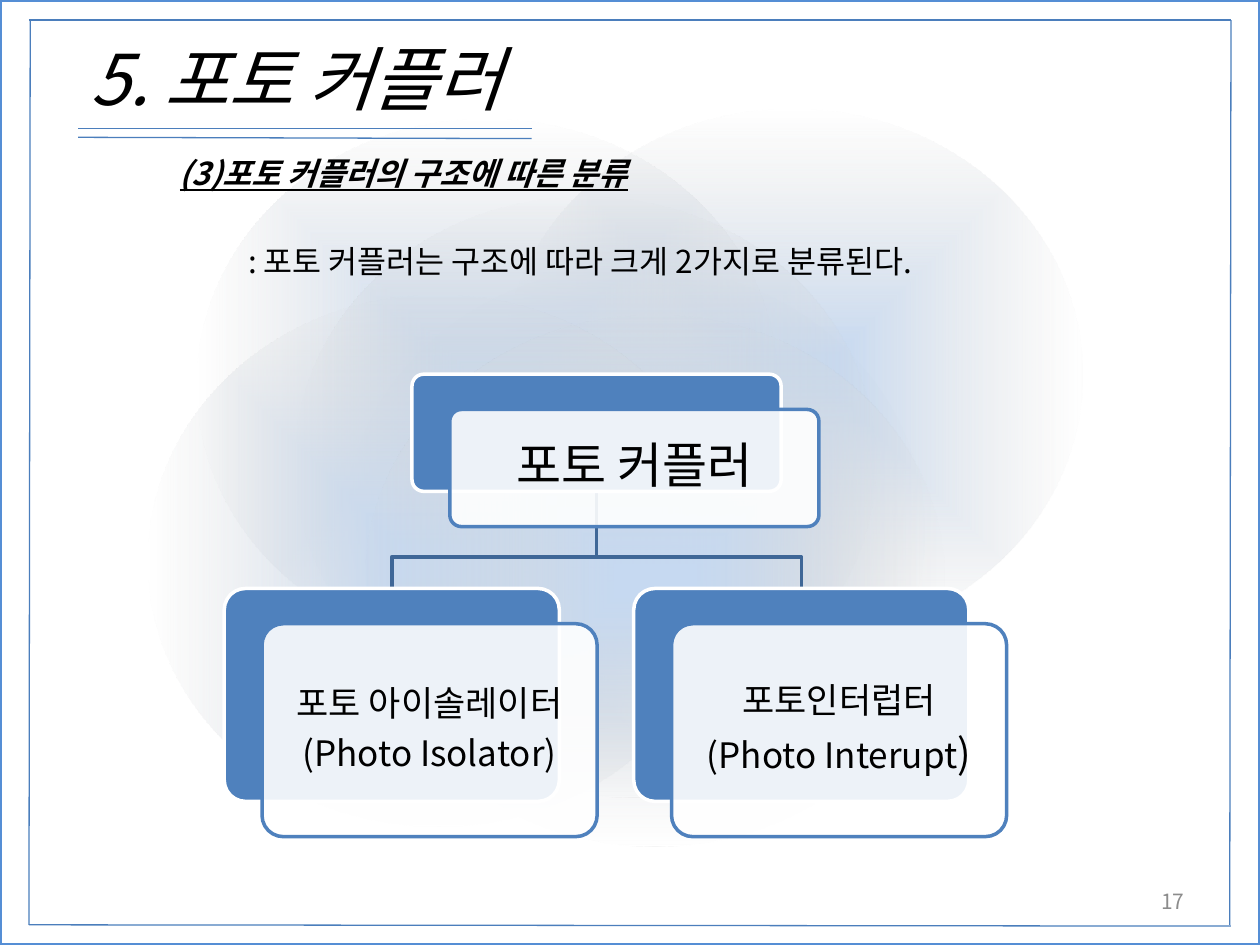
from dataclasses import dataclass
from typing import NamedTuple

from lxml import etree
from pptx import Presentation, util as u
from pptx.dml.color import RGBColor
from pptx.enum import shapes as sh, text as tx
from pptx.oxml import parse_xml
from pptx.oxml.ns import nsdecls, qn

# The slide is a grid of 100 columns by 75 rows.
COLS, ROWS = 100, 75
WIDE, HIGH = u.Inches(10), u.Inches(7.5)


@dataclass(frozen=True)
class Theme:
    font: str = "Noto Sans CJK KR"
    ink: str = "000000"
    paper: str = "FFFFFF"
    edge: str = "558ED5"
    rule: str = "4B7EBC"
    plate: str = "4F81BD"
    link: str = "3F6797"
    gray: str = "8C8C8C"
    title: float = 40
    root: float = 28
    leaf: float = 20
    tail: float = 23
    body: float = 18
    note: float = 12
    thin: float = 0.75
    bold: float = 2


class Box(NamedTuple):
    col: float
    row: float
    cols: float
    rows: float


class Label(NamedTuple):
    box: Box
    text: str
    size: float
    color: str
    bold: bool = False
    italic: bool = False
    under: bool = False
    grow: bool = True


class Card(NamedTuple):
    box: Box
    lines: tuple[str, ...]
    size: float
    inset: float
    tail: str = ""


T = Theme()
BLOB = 46.1, 42.2
BLOBS = ((27.3, 21.1), (39.8, 8.6), (15.6, 9.4),
         (23.4, 15.6), (11.7, 23.4), (28.9, 25))
RULES = ((6.2, 10.2, 42.2, 10.2), (6.2, 10.9, 42.2, 11),
         (2.3, 1.6, 97.7, 1.6), (2.4, 1.6, 2.3, 73.4),
         (2.3, 73.4, 97.7, 73.5), (97.7, 1.6, 97.6, 73.4))
LABELS = (
    Label(Box(6.2, 2.3, 45.3, 7.7), "5. 포토 커플러", T.title, T.ink, italic=True),
    Label(Box(13.3, 11.7, 57, 4), "(3)포토 커플러의 구조에 따른 분류", T.body, T.ink,
          bold=True, italic=True, under=True),
    Label(Box(18.7, 18.7, 60.2, 4), ": 포토 커플러는 구조에 따라 크게 2가지로 분류된다.",
          T.body, T.ink),
    Label(Box(71.7, 69.5, 23.3, 4), "17", T.note, T.gray, grow=False),
)
ROOT = Card(Box(32.7, 29.7, 29.3, 9.3), ("포토 커플러",), T.root, 0.12)
LEAVES = (
    Card(Box(17.8, 46.7, 26.6, 16.9), ("포토 아이솔레이터", "(Photo Isolator)"), T.leaf, 0.05),
    Card(Box(50.3, 46.7, 26.6, 16.9), ("포토인터럽터", "(Photo Interupt"), T.leaf, 0.08, ")"),
)
SHIFT = 3, 2.8
BEND = 44.2

GRAD = f"""<a:gradFill rotWithShape="1" {nsdecls('a')}><a:gsLst>
<a:gs pos="6000"><a:srgbClr val="C6D9F1"/></a:gs>
<a:gs pos="100000"><a:srgbClr val="D9D9D9"><a:alpha val="0"/></a:srgbClr></a:gs>
<a:gs pos="100000"><a:srgbClr val="979797"/></a:gs></a:gsLst>
<a:path path="shape"><a:fillToRect l="50000" t="50000" r="50000" b="50000"/></a:path>
</a:gradFill>"""


def x(col: float) -> int:
    return round(WIDE * col / COLS)


def y(row: float) -> int:
    return round(HIGH * row / ROWS)


def place(box: Box) -> tuple[int, int, int, int]:
    return x(box.col), y(box.row), x(box.cols), y(box.rows)


def rgb(color: str) -> RGBColor:
    return RGBColor.from_string(color)


def stroke(line, color: str, width: float) -> None:
    line.color.rgb = rgb(color)
    line.width = u.Pt(width)


def style(run, size: float, color: str) -> None:
    run.font.size = u.Pt(size)
    run.font.color.rgb = rgb(color)
    run.font.name = T.font
    etree.SubElement(run.font._element, qn("a:ea"), typeface=T.font)


def plate(page, kind, box: Box, fill: str, line: str):
    shape = page.shapes.add_shape(kind, *place(box))
    shape.shadow.inherit = False
    shape.fill.solid()
    shape.fill.fore_color.rgb = rgb(fill)
    stroke(shape.line, line, T.bold)
    return shape


def blob(page, col: float, row: float) -> None:
    """Draw an oval that fades from its centre to clear."""
    shape = page.shapes.add_shape(sh.MSO_SHAPE.OVAL, *place(Box(col, row, *BLOB)))
    shape.shadow.inherit = False
    shape.line.fill.background()
    shape._element.spPr.find(qn("a:prstGeom")).addnext(parse_xml(GRAD))


def rule(page, ends: tuple[float, ...]) -> None:
    c1, r1, c2, r2 = ends
    line = page.shapes.add_connector(sh.MSO_CONNECTOR.STRAIGHT, x(c1), y(r1), x(c2), y(r2))
    stroke(line.line, T.rule, T.thin)
    etree.SubElement(line._element.spPr, qn("a:effectLst"))


def label(page, item: Label) -> None:
    frame = page.shapes.add_textbox(*place(item.box)).text_frame
    frame.word_wrap = True
    frame.text = item.text
    if item.grow:
        frame.auto_size = tx.MSO_AUTO_SIZE.SHAPE_TO_FIT_TEXT
    else:
        frame.vertical_anchor = tx.MSO_ANCHOR.MIDDLE
        frame.paragraphs[0].alignment = tx.PP_ALIGN.RIGHT
    run = frame.paragraphs[0].runs[0]
    style(run, item.size, item.color)
    run.font.bold, run.font.italic, run.font.underline = item.bold, item.italic, item.under


def card(page, item: Card) -> None:
    """Draw a solid plate with a clear, captioned plate shifted over it."""
    kind = sh.MSO_SHAPE.ROUNDED_RECTANGLE
    box = item.box
    over = box._replace(col=box.col + SHIFT[0], row=box.row + SHIFT[1])
    back = plate(page, kind, box, T.plate, T.paper)
    front = plate(page, kind, over, T.paper, T.plate)
    back.adjustments[0] = front.adjustments[0] = 0.1
    tint = front._element.spPr.find(qn("a:solidFill"))[0]
    etree.SubElement(tint, qn("a:alpha"), val="90000")

    frame = front.text_frame
    frame.word_wrap = True
    frame.vertical_anchor = tx.MSO_ANCHOR.MIDDLE
    frame.margin_left = frame.margin_right = u.Inches(item.inset)
    frame.margin_top = frame.margin_bottom = u.Inches(item.inset)
    frame.text = "\n".join(item.lines)
    for para in frame.paragraphs:
        para.alignment = tx.PP_ALIGN.CENTER
        para.line_spacing = 0.9
        para.space_after = u.Pt(item.size * 0.35)
        style(para.runs[0], item.size, T.ink)
    if item.tail:
        run = frame.paragraphs[-1].add_run()
        run.text = item.tail
        style(run, T.tail, T.ink)


def link(page, top: Box, low: Box) -> None:
    """Draw the bent line from the foot of one box to the head of another."""
    mid, end = top.col + top.cols / 2, low.col + low.cols / 2
    pen = page.shapes.build_freeform(x(mid), y(top.row + top.rows))
    pen.add_line_segments([(x(mid), y(BEND)), (x(end), y(BEND)), (x(end), y(low.row))],
                          close=False)
    shape = pen.convert_to_shape()
    shape.shadow.inherit = False
    shape.fill.background()
    stroke(shape.line, T.link, T.bold)


def main() -> None:
    deck = Presentation()
    deck.slide_width, deck.slide_height = WIDE, HIGH
    page = deck.slides.add_slide(deck.slide_layouts[6])
    plate(page, sh.MSO_SHAPE.RECTANGLE, Box(0, 0, COLS, ROWS), T.paper, T.edge)
    for spot in BLOBS:
        blob(page, *spot)
    for ends in RULES:
        rule(page, ends)
    for leaf in LEAVES:
        link(page, ROOT.box, leaf.box)
    for item in (ROOT, *LEAVES):
        card(page, item)
    for item in LABELS:
        label(page, item)
    deck.save("out.pptx")


if __name__ == "__main__":
    main()
